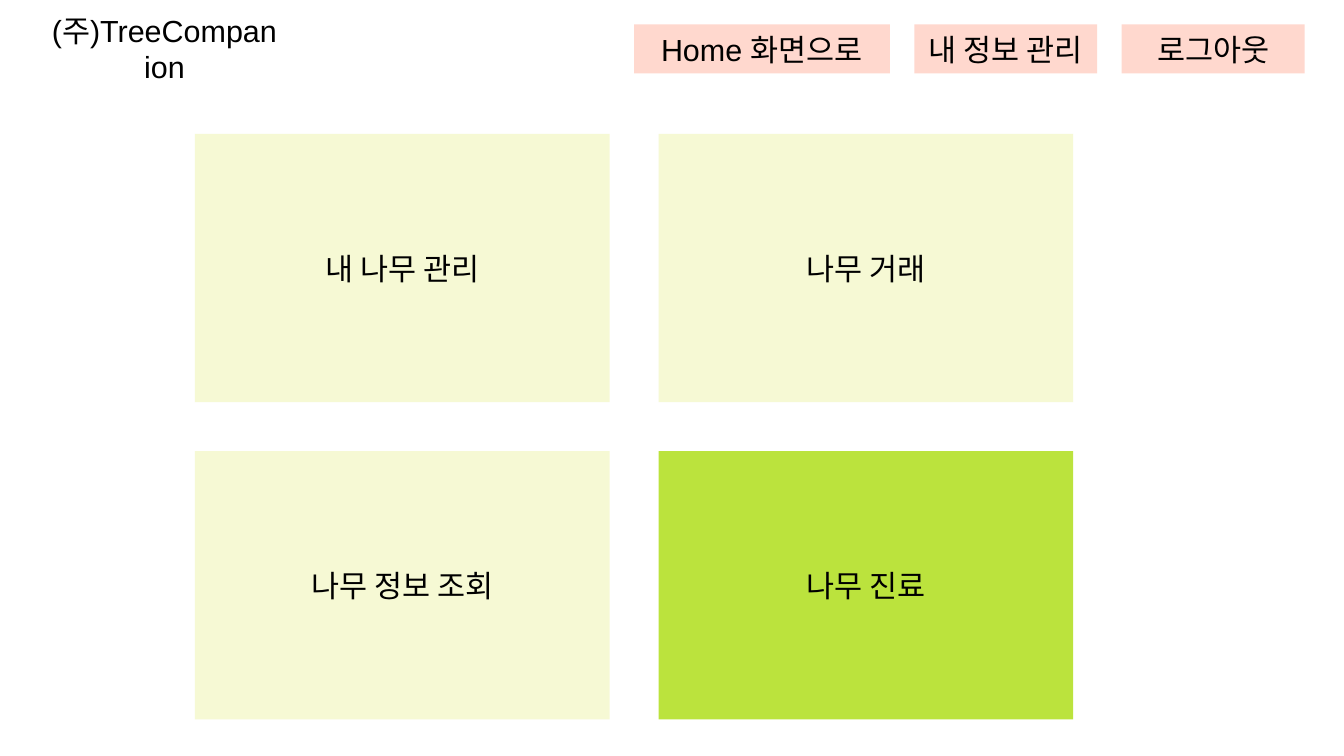
import pptx
import pptx.util
import pptx.dml.color
import pptx.enum.shapes
import pptx.enum.text

Cm = pptx.util.Cm

# Content
COMPANY = "(주)TreeCompanion"
BUTTONS = [("Home 화면으로", 5.33), ("내 정보 관리", 3.81), ("로그아웃", 3.81)]  # label, width
MENU = [
    [("내 나무 관리", "menu"), ("나무 거래", "menu")],
    [("나무 정보 조회", "menu"), ("나무 진료", "selected")],
]
COLORS = {
    "background": "FFFFFF",
    "button": "FFD8CE",
    "menu": "F6F9D4",
    "selected": "BBE33D",
    "text": "000000",
}

# Layout in centimetres
BUTTON_LEFT, BUTTON_TOP, BUTTON_HEIGHT, BUTTON_GAP = 13.21, 0.51, 1.02, 0.51
MENU_LEFT, MENU_TOP, MENU_WIDTH, MENU_HEIGHT, MENU_GAP = 4.06, 2.79, 8.64, 5.59, 1.02


def color(name):
    return pptx.dml.color.RGBColor.from_string(COLORS[name])


def write_text(shape, text, size=18, font="Arial", text_color="text"):
    frame = shape.text_frame
    frame.auto_size = pptx.enum.text.MSO_AUTO_SIZE.NONE
    frame.word_wrap = False
    frame.vertical_anchor = pptx.enum.text.MSO_ANCHOR.MIDDLE
    paragraph = frame.paragraphs[0]
    paragraph.alignment = pptx.enum.text.PP_ALIGN.CENTER
    run = paragraph.add_run()
    run.text = text
    run.font.size = pptx.util.Pt(size)
    run.font.name = font
    run.font.color.rgb = color(text_color)


def add_box(slide, text, left, top, width, height, fill):
    shape = slide.shapes.add_shape(
        pptx.enum.shapes.MSO_SHAPE.RECTANGLE, Cm(left), Cm(top), Cm(width), Cm(height))
    shape.shadow.inherit = False
    shape.fill.solid()
    shape.fill.fore_color.rgb = color(fill)
    shape.line.fill.background()
    write_text(shape, text)


def main():
    presentation = pptx.Presentation()
    presentation.slide_width, presentation.slide_height = Cm(28), Cm(15.75)
    slide = presentation.slides.add_slide(presentation.slide_layouts.get_by_name("Title Only"))
    slide.background.fill.solid()
    slide.background.fill.fore_color.rgb = color("background")

    # Company name
    title = slide.shapes.title
    title.left, title.top, title.width, title.height = Cm(0.76), Cm(0.25), Cm(5.33), Cm(1.52)
    write_text(title, COMPANY)

    # Navigation buttons
    left = BUTTON_LEFT
    for label, width in BUTTONS:
        add_box(slide, label, left, BUTTON_TOP, width, BUTTON_HEIGHT, "button")
        left += width + BUTTON_GAP

    # Menu grid
    for row, items in enumerate(MENU):
        for column, (label, fill) in enumerate(items):
            add_box(slide, label,
                    MENU_LEFT + column * (MENU_WIDTH + MENU_GAP),
                    MENU_TOP + row * (MENU_HEIGHT + MENU_GAP),
                    MENU_WIDTH, MENU_HEIGHT, fill)

    presentation.save("out.pptx")


if __name__ == "__main__":
    main()
